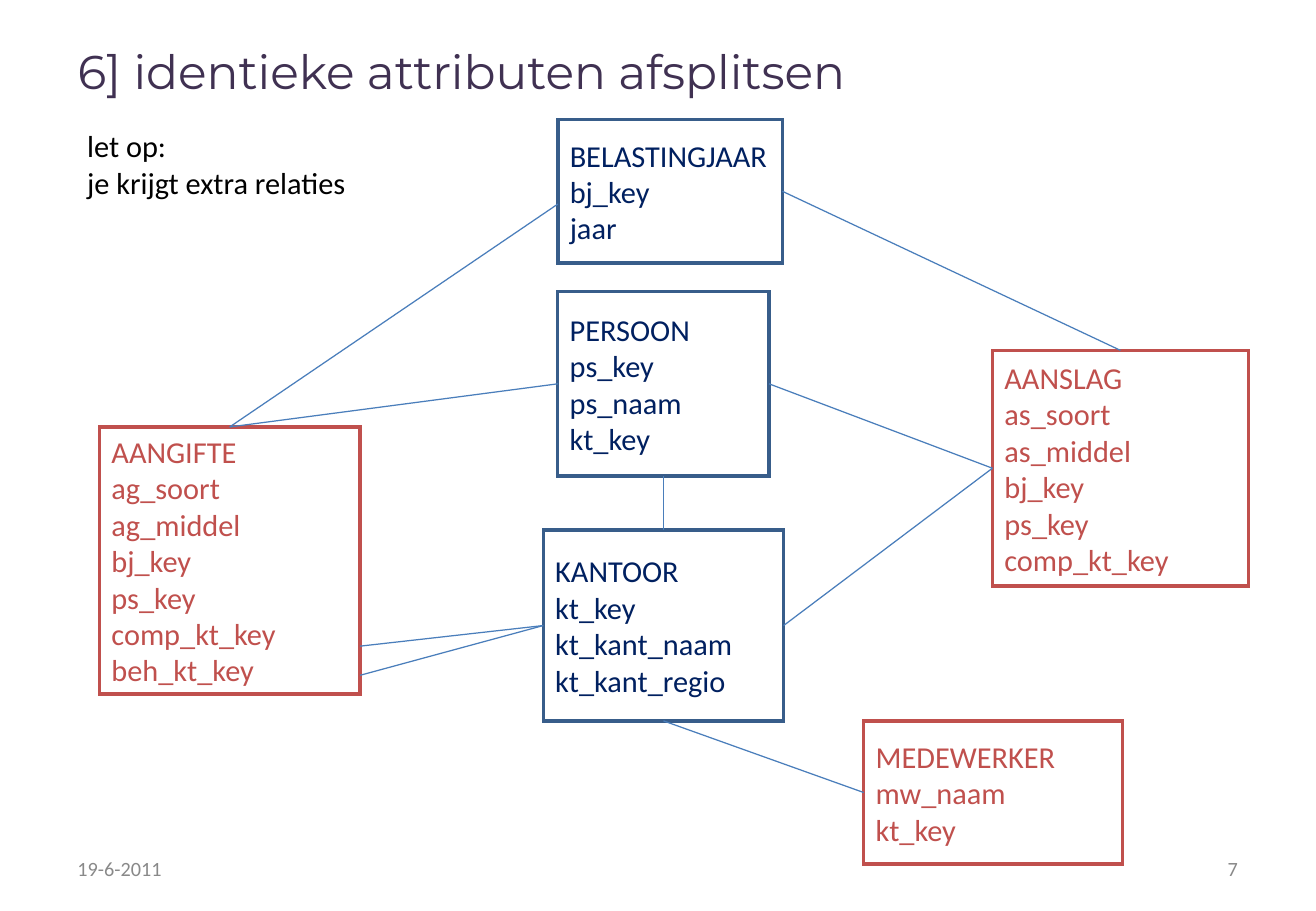
from dataclasses import dataclass

from lxml.etree import SubElement
from pptx import Presentation
from pptx.dml.color import RGBColor as Rgb
from pptx.enum.shapes import MSO_CONNECTOR as Line, MSO_SHAPE as Shape
from pptx.enum.text import MSO_ANCHOR as Anchor, PP_ALIGN as Align
from pptx.oxml.ns import qn
from pptx.util import Pt

PX = 4572
TOP, LEFT, BOTTOM, RIGHT = range(4)


@dataclass(frozen=True)
class Theme:
    """Hold the colours, fonts and sizes of the slide."""
    head: str = "Montserrat"
    body: str = "Calibri"
    plum: str = "403152"
    black: str = "000000"
    grey: str = "898989"
    red: str = "C0504D"
    navy: str = "002060"
    blue: str = "385D8A"
    link: str = "4A7EBB"
    title: int = 28
    text: int = 18
    small: int = 12
    edge: float = 2
    thin: float = 0.75


T = Theme()
RED = (T.red, T.red)
BLUE = (T.blue, T.navy)

TABLES = {
    "AANGIFTE": ((164, 703, 429, 440), RED,
                 "ag_soort ag_middel bj_key ps_key comp_kt_key beh_kt_key"),
    "PERSOON": ((919, 480, 348, 304), BLUE, "ps_key ps_naam kt_key"),
    "AANSLAG": ((1635, 577, 422, 388), RED,
                "as_soort as_middel bj_key ps_key comp_kt_key"),
    "MEDEWERKER": ((1423, 1187, 426, 236), RED, "mw_naam kt_key"),
    "KANTOOR": ((895, 873, 396, 314), BLUE,
                "kt_key kt_kant_naam kt_kant_regio"),
    "BELASTINGJAAR": ((919, 197, 370, 236), BLUE, "bj_key jaar"),
}

LINKS = [
    (("AANSLAG", LEFT, 0), ("PERSOON", RIGHT, 0)),
    (("AANGIFTE", TOP, 0), ("PERSOON", LEFT, 0)),
    (("AANGIFTE", RIGHT, 141), ("KANTOOR", LEFT, 0)),
    (("KANTOOR", BOTTOM, 0), ("MEDEWERKER", LEFT, 0)),
    (("KANTOOR", LEFT, 0), ("AANGIFTE", RIGHT, 189)),
    (("PERSOON", BOTTOM, 0), ("KANTOOR", TOP, 0)),
    (("AANSLAG", LEFT, 0), ("KANTOOR", RIGHT, 0)),
    (("BELASTINGJAAR", RIGHT, 0), ("AANSLAG", TOP, 0)),
    (("AANGIFTE", TOP, 0), ("BELASTINGJAAR", LEFT, 21)),
]


def scale(box):
    """Turn px lengths into EMU."""
    return [n * PX for n in box]


def write(shape, text, color, size=T.text, font=T.body,
          anchor=Anchor.MIDDLE, align=Align.LEFT, wrap=True):
    """Fill a shape with text in one style."""
    frame = shape.text_frame
    frame.text = text
    frame.word_wrap = wrap
    frame.vertical_anchor = anchor
    for para in frame.paragraphs:
        para.alignment = align
        for run in para.runs:
            run.font.name = font
            run.font.size = Pt(size)
            run.font.color.rgb = Rgb.from_string(color)


def label(slide, box, text, color, **style):
    """Place a text box."""
    write(slide.shapes.add_textbox(*scale(box)), text, color, **style)


def table(slide, box, tint, name, fields):
    """Draw an entity box with its name above its fields."""
    edge, ink = tint
    shape = slide.shapes.add_shape(Shape.RECTANGLE, *scale(box))
    shape.shadow.inherit = False
    shape.fill.background()
    shape.line.color.rgb = Rgb.from_string(edge)
    shape.line.width = Pt(T.edge)
    SubElement(shape.line._get_or_add_ln(), qn("a:miter"), lim="800000")
    write(shape, "\n".join([name, *fields.split()]), ink)
    return shape


def point(shape, side, shift):
    """Find the spot on a side, moved down from its middle."""
    across = {LEFT: 0, RIGHT: shape.width}.get(side, shape.width // 2)
    down = {TOP: 0, BOTTOM: shape.height}.get(side, shape.height // 2)
    return shape.left + across, shape.top + down + shift * PX


def link(slide, shapes, start, end):
    """Join two entities, glued wherever a middle is used."""
    ends = [(shapes[name], side, shift) for name, side, shift in (start, end)]
    line = slide.shapes.add_connector(
        Line.STRAIGHT, *point(*ends[0]), *point(*ends[1]))
    for glue, (shape, side, shift) in zip(
            (line.begin_connect, line.end_connect), ends):
        if not shift:
            glue(shape, side)
    line.line.color.rgb = Rgb.from_string(T.link)
    line.line.width = Pt(T.thin)
    SubElement(line._element.spPr, qn("a:effectLst"))


def diagram(slide):
    """Draw all entities and their relations."""
    shapes = {name: table(slide, box, tint, name, fields)
              for name, (box, tint, fields) in TABLES.items()}
    for start, end in LINKS:
        link(slide, shapes, start, end)


def header(slide, box):
    """Place the title and the remark below it."""
    left, top, wide, high = box
    label(slide, box, "6] identieke attributen afsplitsen", T.plum,
          size=T.title, font=T.head, anchor=Anchor.TOP)
    label(slide, (left + 16, top + 140, 468, 140),
          "let op:\nje krijgt extra relaties", T.black,
          anchor=Anchor.TOP, wrap=False)


def footer(slide, box):
    """Place the date at the left and the page number at the right."""
    left, top, wide, high = box
    part = 506
    label(slide, (left, top, part, high), "19-6-2011", T.grey, size=T.small)
    label(slide, (left + wide - part, top, part, high), "7", T.grey,
          size=T.small, align=Align.RIGHT)


def main():
    """Build and save the slide."""
    deck = Presentation()
    deck.slide_width, deck.slide_height = scale((2168, 1500))
    slide = deck.slides.add_slide(deck.slide_layouts[6])
    header(slide, (108, 60, 1950, 250))
    footer(slide, (108, 1390, 1951, 80))
    diagram(slide)
    deck.save("out.pptx")


if __name__ == "__main__":
    main()
